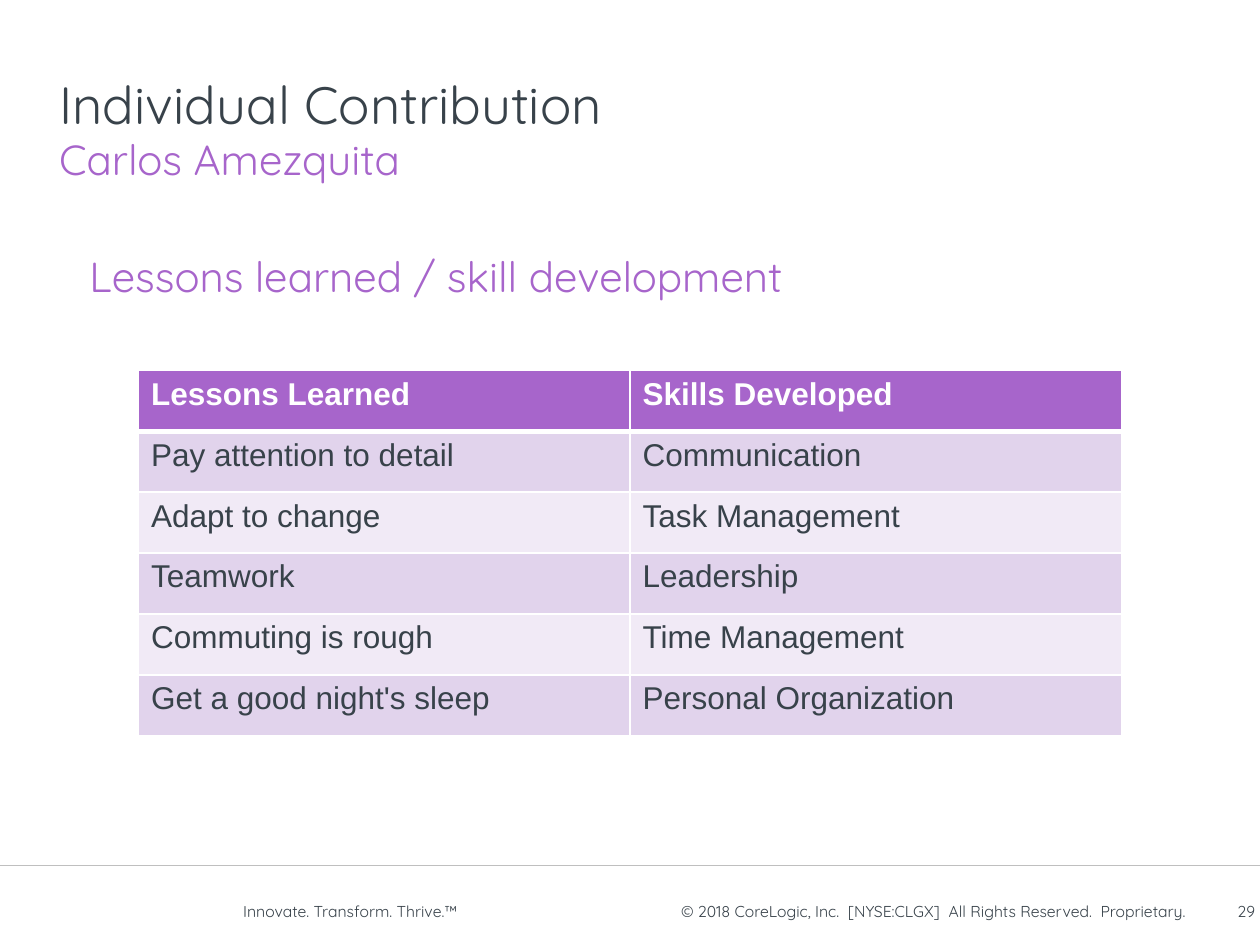
from dataclasses import dataclass

from lxml import etree
from pptx import Presentation
from pptx.dml.color import RGBColor
from pptx.enum.shapes import MSO_CONNECTOR
from pptx.enum.text import MSO_ANCHOR, MSO_AUTO_SIZE, PP_ALIGN
from pptx.oxml.ns import qn
from pptx.util import Inches, Pt

LEFT, RIGHT = PP_ALIGN.LEFT, PP_ALIGN.RIGHT
TOP, MIDDLE, BOTTOM = MSO_ANCHOR.TOP, MSO_ANCHOR.MIDDLE, MSO_ANCHOR.BOTTOM
NO_AUTOFIT = MSO_AUTO_SIZE.NONE
STRAIGHT = MSO_CONNECTOR.STRAIGHT


@dataclass(frozen=True)
class Theme:
    heading_font: str = "Quicksand"
    table_font: str = "Arial"
    dark: RGBColor = RGBColor(0x38, 0x42, 0x4A)
    purple: RGBColor = RGBColor(0xA7, 0x65, 0xCB)
    band_dark: RGBColor = RGBColor(0xE1, 0xD3, 0xEC)
    band_light: RGBColor = RGBColor(0xF1, 0xEA, 0xF6)
    white: RGBColor = RGBColor(0xFF, 0xFF, 0xFF)
    rule: RGBColor = RGBColor(0xBF, 0xBF, 0xBF)
    title_size: Pt = Pt(30)
    body_size: Pt = Pt(24)
    table_size: Pt = Pt(18)
    footer_size: Pt = Pt(9)


theme = Theme()


def write_text(shape, box, text, size, color, anchor, alignment=LEFT, side_inset=0.05):
    shape.left, shape.top, shape.width, shape.height = [Inches(value) for value in box]
    frame = shape.text_frame
    frame.word_wrap = True
    frame.auto_size = NO_AUTOFIT
    frame.vertical_anchor = anchor
    frame.margin_left = frame.margin_right = Inches(side_inset)
    frame.margin_top = frame.margin_bottom = Inches(0.05)
    frame.text = text
    paragraph = frame.paragraphs[0]
    paragraph.alignment = alignment
    paragraph.space_before = Pt(0)
    paragraph.font.name = theme.heading_font
    paragraph.font.size = size
    paragraph.font.color.rgb = color
    return paragraph


def add_borders(cell, bottom_width):
    properties = cell._tc.get_or_add_tcPr()
    widths = {"a:lnL": 1, "a:lnR": 1, "a:lnT": 1, "a:lnB": bottom_width}
    for position, (tag, width) in enumerate(widths.items()):
        border = etree.Element(qn(tag), w=str(Pt(width)))
        fill = etree.SubElement(border, qn("a:solidFill"))
        etree.SubElement(fill, qn("a:srgbClr"), val=str(theme.white))
        properties.insert(position, border)


presentation = Presentation()
presentation.slide_width = Inches(10)
presentation.slide_height = Inches(7.5)
slide = presentation.slides.add_slide(presentation.slide_layouts[3])

footer_line = slide.shapes.add_connector(
    STRAIGHT, Inches(0), Inches(6.87), Inches(10), Inches(6.87)
)
footer_line.line.color.rgb = theme.rule
footer_line.line.width = Pt(0.75)
etree.SubElement(footer_line._element.spPr, qn("a:effectLst"))

footers = [
    (5.03, 4.41, "© 2018 CoreLogic, Inc.  [NYSE:CLGX]  All Rights Reserved.  Proprietary. ", RIGHT),
    (1.93, 1.97, "Innovate. Transform. Thrive.™", LEFT),
    (9.54, 0.42, "29", RIGHT),
]
for left, width, text, alignment in footers:
    footer = slide.shapes.add_textbox(0, 0, 0, 0)
    write_text(footer, (left, 7.02, width, 0.42), text, theme.footer_size,
               theme.dark, MIDDLE, alignment, side_inset=0)

write_text(slide.shapes.title, (0.42, 0.12, 9.34, 1), "Individual Contribution",
           theme.title_size, theme.dark, BOTTOM)

bodies = [
    (1, (0.42, 1.01, 9.33, 0.57), "Carlos Amezquita", 0),
    (2, (0.66, 1.94, 9.34, 4.89), "Lessons learned / skill development", 0.19),
]
for index, box, text, hanging in bodies:
    paragraph = write_text(slide.placeholders[index], box, text,
                           theme.body_size, theme.purple, TOP)
    properties = paragraph._p.get_or_add_pPr()
    properties.set("marL", str(Inches(hanging)))
    properties.set("indent", str(-Inches(hanging)))
    properties.find(qn("a:spcBef")).addnext(etree.Element(qn("a:buNone")))

rows = [
    ("Lessons Learned", "Skills Developed"),
    ("Pay attention to detail", "Communication"),
    ("Adapt to change", "Task Management"),
    ("Teamwork", "Leadership"),
    ("Commuting is rough", "Time Management"),
    ("Get a good night's sleep", "Personal Organization"),
]
table = slide.shapes.add_table(
    len(rows), 2, Inches(1.1), Inches(2.94), Inches(7.8), Inches(2.9)
).table
for row_index, row in enumerate(rows):
    is_header = row_index == 0
    band = theme.band_dark if row_index % 2 else theme.band_light
    for column_index, text in enumerate(row):
        cell = table.cell(row_index, column_index)
        cell.text = text
        cell.fill.solid()
        cell.fill.fore_color.rgb = theme.purple if is_header else band
        add_borders(cell, 3 if is_header else 1)
        font = cell.text_frame.paragraphs[0].font
        font.name = theme.table_font
        font.size = theme.table_size
        font.bold = is_header
        font.color.rgb = theme.white if is_header else theme.dark

presentation.save("out.pptx")
